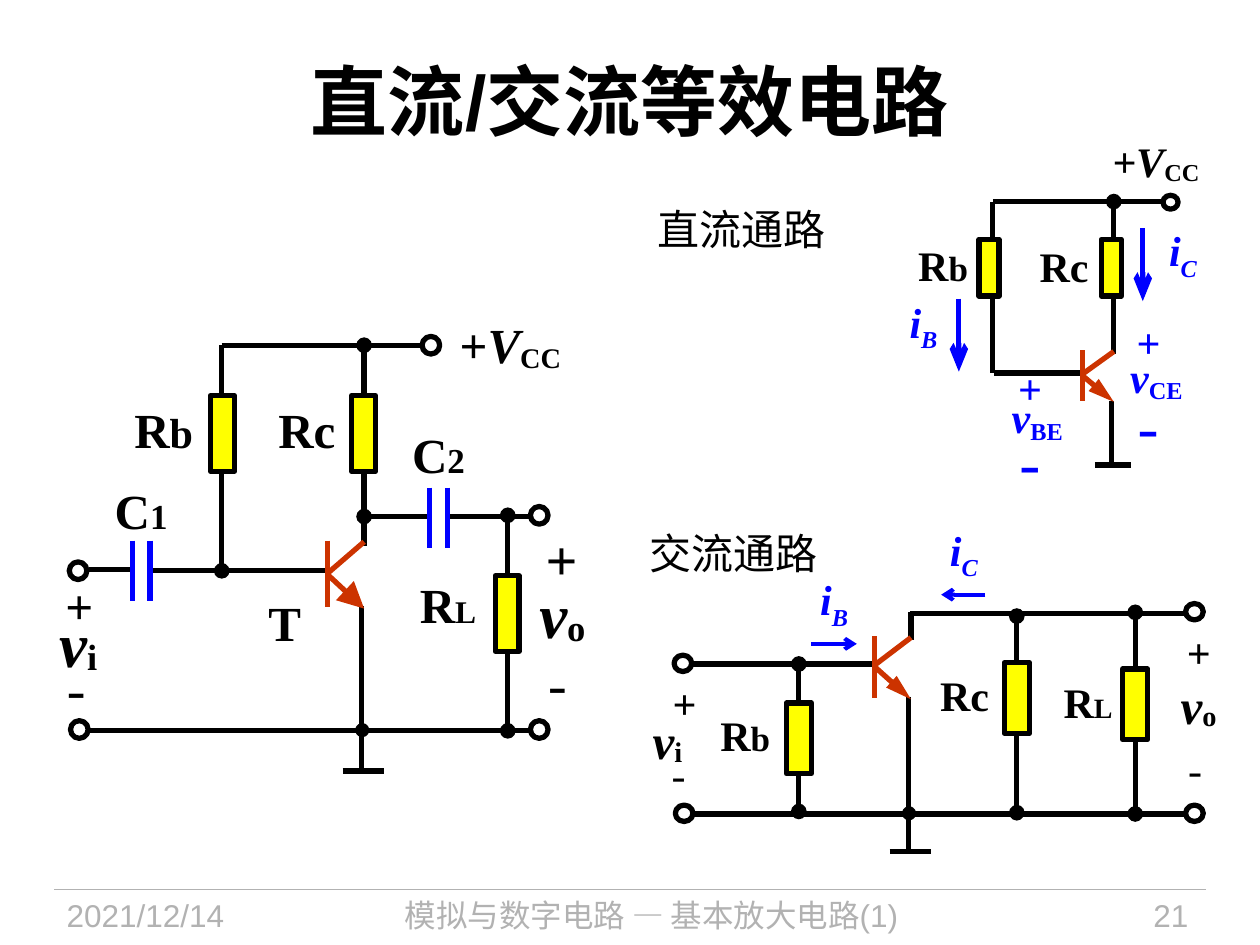
from lxml import etree
from pptx import Presentation
from pptx import util as u
from pptx.dml.color import RGBColor
from pptx.enum import shapes, text as t
from pptx.oxml import ns

BLACK, BLUE, RED, YELLOW, GREY = "000000", "0000FF", "CC3300", "FFFF00", "B2B2B2"
SERIF, SANS = "Times New Roman", "Arial"
LEFT, CENTER, RIGHT = t.PP_ALIGN.LEFT, t.PP_ALIGN.CENTER, t.PP_ALIGN.RIGHT
TOP, MIDDLE = t.MSO_ANCHOR.TOP, t.MSO_ANCHOR.MIDDLE

deck = Presentation()
deck.slide_width, deck.slide_height = u.Inches(10), u.Inches(7.5)
page = deck.slides.add_slide(deck.slide_layouts[5])


def write(text, left=0, top=0, width=1, box=None, size=24, color=BLACK, font=SERIF,
          bold=True, italic=False, lead="", sub="", sub_size=None, sub_italic=False,
          base=0, pad=True, wrap=False, align=LEFT, anchor=MIDDLE):
    if box is None:
        height = size / 60 + (0.1 if pad else 0)
        box = page.shapes.add_textbox(*map(u.Inches, (left, top, width, height)))
    frame = box.text_frame
    frame.word_wrap = wrap
    frame.auto_size = t.MSO_AUTO_SIZE.NONE
    frame.vertical_anchor = anchor
    frame.margin_left = frame.margin_right = u.Inches(0.1 if pad else 0)
    frame.margin_top = frame.margin_bottom = u.Inches(0.05 if pad else 0)
    para = frame.paragraphs[0]
    para.alignment = align
    parts = [(lead, size, False, 0), (text, size, italic, 0),
             (sub, sub_size or size, sub_italic, base)]
    for content, points, slanted, shift in parts:
        if not content:
            continue
        span = para.add_run()
        span.text = content
        span.font.name, span.font.size = font, u.Pt(points)
        span.font.bold, span.font.italic = bold, slanted
        span.font.color.rgb = RGBColor.from_string(color)
        if shift:
            span.font._element.set("baseline", str(shift * 1000))


def wire(x1, y1, x2, y2, color=BLACK, weight=3, head=None, tail=None,
         end_width="med", end_length="med"):
    line = page.shapes.add_connector(shapes.MSO_CONNECTOR.STRAIGHT,
                                     *map(u.Inches, (x1, y1, x2, y2)))
    line.line.color.rgb = RGBColor.from_string(color)
    line.line.width = u.Pt(weight)
    for tag, kind in (("a:headEnd", head), ("a:tailEnd", tail)):
        if kind:
            end = etree.SubElement(line.line._get_or_add_ln(), ns.qn(tag))
            end.set("type", kind)
            end.set("w", end_width)
            end.set("len", end_length)
    etree.SubElement(line._element.spPr, ns.qn("a:effectLst"))


title = page.shapes.title
title.left, title.top, title.width, title.height = map(u.Inches, (0.5, 0.17, 9, 1.25))
write("直流/交流等效电路", box=title, size=44, font=SANS, wrap=True, align=CENTER)

wire(0.43, 7.06, 9.57, 7.06, color=GREY, weight=0.75)
for content, left, width, align in [
    ("2021/12/14", 0.43, 1.88, LEFT),
    ("模拟与数字电路 — 基本放大电路(1)", 2.49, 5.36, CENTER),
    ("21", 8.2, 1.33, RIGHT),
]:
    write(content, left, 7.06, width, size=18, color=GREY, font=SANS, bold=False,
          wrap=True, align=align, anchor=TOP)
for content, left, top in [("直流通路", 5.12, 1.57), ("交流通路", 5.06, 4.14)]:
    write(content, left, top, 1.54, font=SANS, bold=False, anchor=TOP)

plain_wires = [
    (1.76, 2.74, 3.35, 2.74), (1.18, 4.53, 2.62, 4.53), (2.87, 4.81, 2.87, 6.11),
    (0.7, 5.8, 4.21, 5.8), (0.71, 4.52, 1.05, 4.52), (4.21, 4.1, 3.55, 4.1),
    (2.72, 6.12, 3.05, 6.12),
    (7.88, 1.6, 7.88, 2.96), (7.88, 1.6, 9.23, 1.6), (7.89, 2.96, 8.61, 2.96),
    (8.82, 3.18, 8.82, 3.69), (8.69, 3.69, 8.98, 3.69),
    (5.47, 5.27, 6.96, 5.27), (7.21, 5.53, 7.21, 6.75), (5.51, 6.46, 9.43, 6.46),
    (9.41, 4.87, 7.22, 4.87), (7.06, 6.76, 7.39, 6.76), (7.23, 4.86, 7.23, 5.08),
]
for ends in plain_wires:
    wire(*ends)
for ends in [(1.76, 4.53, 1.76, 2.74), (2.89, 2.74, 2.89, 4.33),
             (2.89, 4.1, 3.39, 4.1), (8.84, 1.6, 8.84, 2.81)]:
    wire(*ends, head="oval")
for ends in [(4.03, 4.09, 4.03, 5.8), (6.34, 6.44, 6.34, 5.27),
             (8.07, 4.89, 8.07, 6.45), (9.01, 4.86, 9.01, 6.46)]:
    wire(*ends, head="oval", tail="oval")

for plate in (1.05, 1.19):
    wire(plate, 4.29, plate, 4.77, color=BLUE)
for plate in (3.41, 3.55):
    wire(plate, 3.87, plate, 4.35, color=BLUE)

for base_x, bar_top, bar_end, base_y, side_x, collector_y, emitter_y, arrow_width in [
    (2.6, 4.29, 4.82, 4.55, 2.89, 4.3, 4.83, "lg"),
    (8.59, 2.78, 3.18, 2.97, 8.84, 2.79, 3.19, "med"),
    (6.94, 5.05, 5.54, 5.28, 7.23, 5.06, 5.55, "med"),
]:
    wire(base_x, bar_top, base_x, bar_end, color=RED)
    wire(base_x, base_y, side_x, collector_y, color=RED)
    wire(base_x, base_y + 0.01, side_x, emitter_y, color=RED, tail="triangle",
         end_width=arrow_width, end_length="lg")

for x, top in [(9.07, 1.81), (7.61, 2.37)]:
    wire(x, top, x, top + 0.58, color=BLUE, tail="arrow", end_length="lg")
for start, end, y in [(6.44, 6.8, 5.11), (7.82, 7.47, 4.72)]:
    wire(start, y, end, y, color=BLUE, weight=2.25, tail="arrow")

RECTANGLE, OVAL = shapes.MSO_SHAPE.RECTANGLE, shapes.MSO_SHAPE.OVAL
resistors = [(x, y, 0.19, 0.6) for x, y in [(1.67, 3.14), (2.79, 3.14), (3.93, 4.57)]]
resistors += [(x, 1.9, 0.16, 0.45) for x in (7.77, 8.74)]
resistors += [(x, y, 0.2, 0.56) for x, y in [(6.24, 5.58), (7.97, 5.26), (8.91, 5.31)]]
terminals = [(x, y, 0.14, 0.14) for x, y in [
    (3.35, 2.67), (0.55, 4.46), (0.56, 5.72), (4.21, 4.02), (4.21, 5.72)]]
terminals += [(9.23, 1.55, 0.12, 0.11)]
terminals += [(x, y, 0.14, 0.13) for x, y in [
    (5.35, 5.2), (5.36, 6.39), (9.41, 4.79), (9.41, 6.39)]]
ground_dots = [(2.84, 5.76, 0.07, 0.07), (7.18, 6.42, 0.07, 0.07)]
for kind, fill, places in [(RECTANGLE, YELLOW, resistors), (OVAL, None, terminals),
                           (OVAL, BLACK, ground_dots)]:
    for place in places:
        part = page.shapes.add_shape(kind, *map(u.Inches, place))
        part.shadow.inherit = False
        part.line.color.rgb = RGBColor.from_string(BLACK)
        part.line.width = u.Pt(3)
        if fill:
            part.fill.solid()
            part.fill.fore_color.rgb = RGBColor.from_string(fill)
        else:
            part.fill.background()

for content, sub, left, top, width, size, sub_size in [
    ("R", "b", 0.97, 3.12, 0.66, 28, 24), ("Rc", "", 2.11, 3.12, 0.65, 28, 28),
    ("C", "1", 0.81, 3.76, 0.62, 28, 20), ("C", "2", 3.17, 3.32, 0.62, 28, 20),
    ("T", "", 2.03, 4.65, 0.46, 28, 28), ("R", "L", 3.23, 4.51, 0.65, 28, 18),
    ("R", "b", 7.19, 1.85, 0.59, 24, 20), ("Rc", "", 8.15, 1.86, 0.59, 24, 24),
    ("R", "b", 5.62, 5.58, 0.59, 24, 20), ("Rc", "", 7.36, 5.26, 0.59, 24, 24),
    ("R", "L", 8.34, 5.32, 0.59, 24, 16),
]:
    write(content, left, top, width, size=size, sub=sub, sub_size=sub_size, align=CENTER)

write("V", 3.55, 2.45, 1.06, size=28, lead="+", italic=True, sub="CC", base=-10)
write("+V", 8.73, 1.03, 0.93, italic=True, sub="CC", base=-10)

for sub, left, top, width, align in [
    ("C", 9.18, 1.76, 0.56, LEFT), ("B", 7.11, 2.33, 0.44, CENTER),
    ("B", 6.4, 4.53, 0.44, CENTER), ("C", 7.43, 4.14, 0.44, CENTER),
]:
    write("i", left, top, width, color=BLUE, italic=True, sub=sub, sub_italic=True,
          base=-25, wrap=align == LEFT, align=align)

for sub, left, top, width, size, color, base in [
    ("i", 0.47, 4.8, 0.31, 36, BLACK, -5), ("o", 4.28, 4.57, 0.39, 36, BLACK, -5),
    ("i", 5.18, 5.64, 0.24, 28, BLACK, -5), ("o", 9.37, 5.36, 0.3, 28, BLACK, -5),
    ("CE", 8.97, 2.8, 0.45, 24, BLUE, -15), ("BE", 8.03, 3.12, 0.44, 24, BLUE, -15),
]:
    write("v", left, top, width, size=size, color=color, italic=True, sub=sub,
          base=base, pad=False)

for left, top, width, size in [(0.42, 4.52, 0.61, 28), (5.24, 5.33, 0.36, 24)]:
    write("+", left, top, width, size=size, wrap=True, anchor=TOP)
for sign, left, top, width, size, color in [
    ("+", 4.33, 4.16, 0.25, 32, BLACK), ("+", 9.42, 4.97, 0.19, 24, BLACK),
    ("+", 9.02, 2.51, 0.19, 24, BLUE), ("+", 8.08, 2.88, 0.19, 24, BLUE),
    ("-", 0.53, 5.19, 0.15, 32, BLACK), ("-", 4.35, 5.15, 0.15, 32, BLACK),
    ("-", 9.03, 3.07, 0.17, 36, BLUE), ("-", 8.09, 3.35, 0.17, 36, BLUE),
    ("-", 5.33, 5.94, 0.11, 24, BLACK), ("-", 9.43, 5.9, 0.11, 24, BLACK),
]:
    write(sign, left, top, width, size=size, color=color, bold=sign == "+", pad=False)

deck.save("out.pptx")
